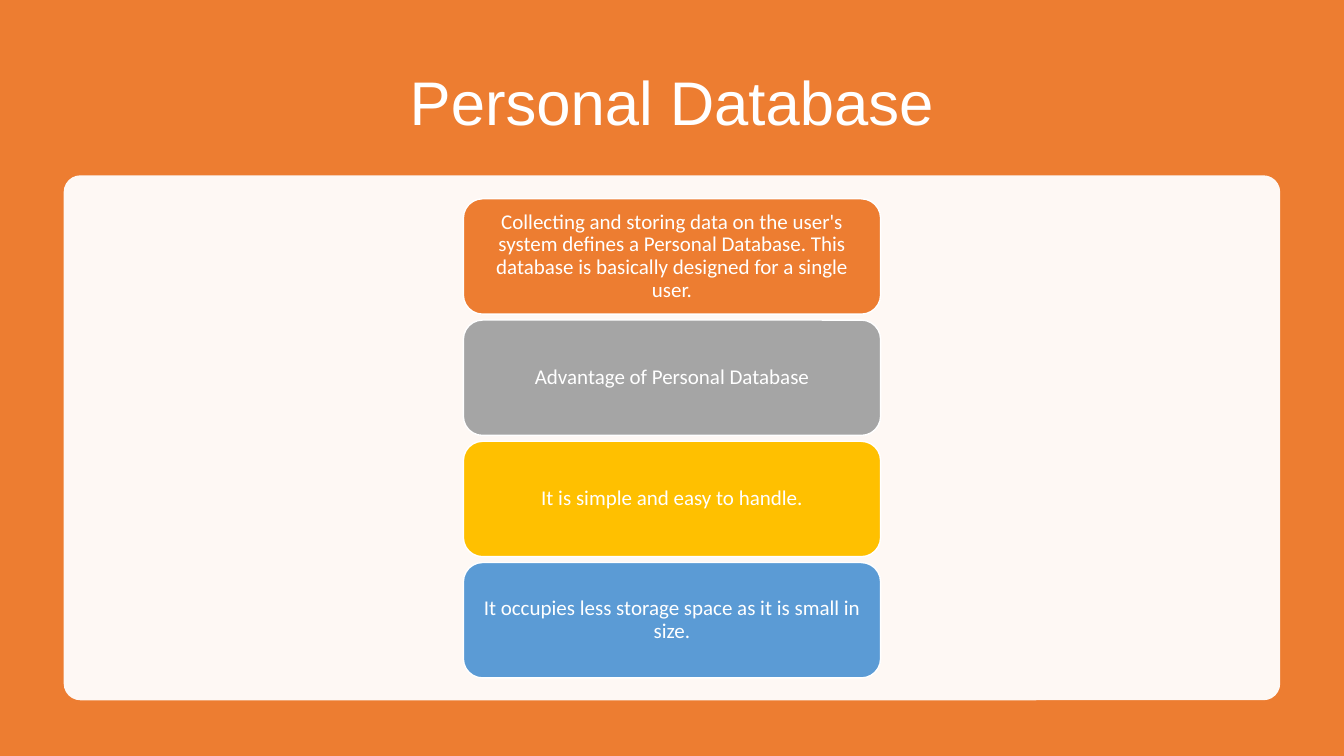
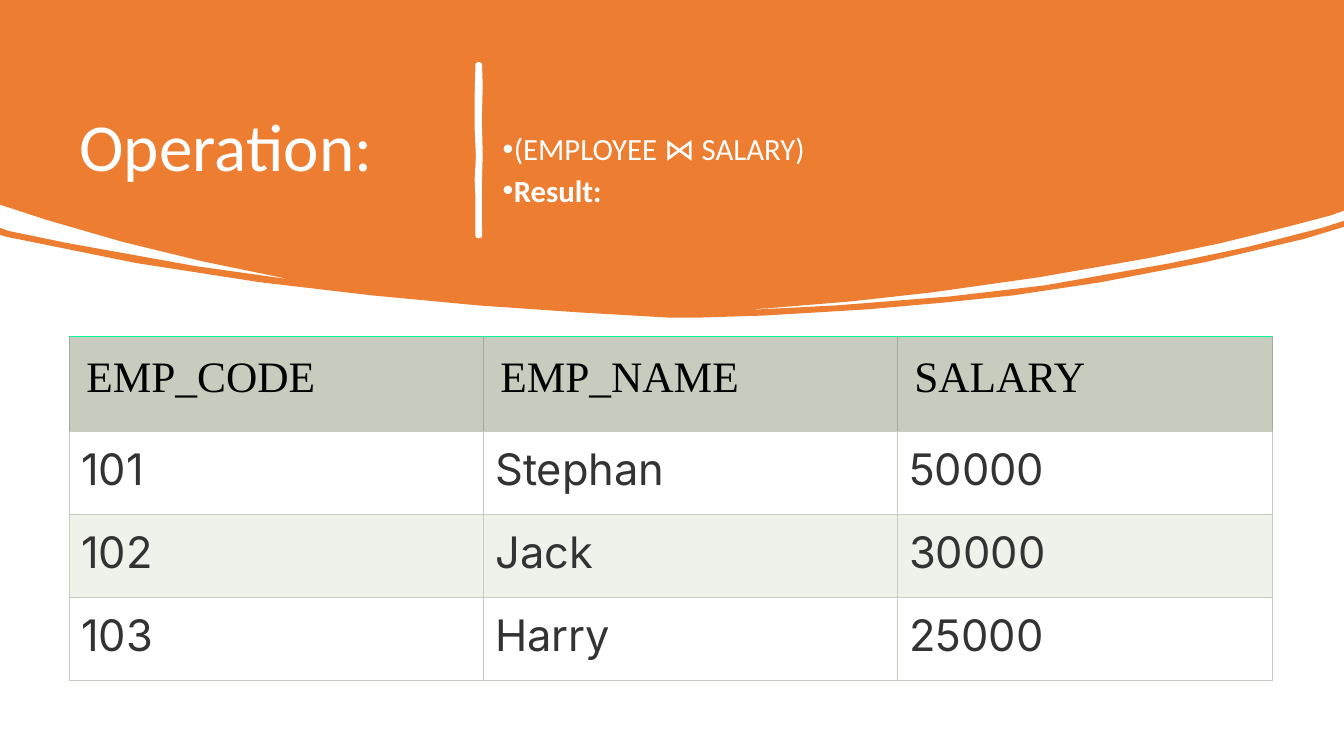
from dataclasses import dataclass

from lxml import etree
from pptx import Presentation
from pptx.dml.color import RGBColor
from pptx.enum.shapes import MSO_SHAPE as Shape
from pptx.enum.text import MSO_ANCHOR as Anchor, PP_ALIGN as Align
from pptx.oxml import parse_xml
from pptx.oxml.ns import nsdecls, qn
from pptx.util import Pt


# Theme
@dataclass(frozen=True)
class Theme:
    orange: str = "ED7D31"
    white: str = "FFFFFF"
    grey: str = "A5A5A5"
    gold: str = "FFC000"
    blue: str = "5B9BD5"
    black: str = "000000"
    ink: str = "333333"
    sage: str = "C7CCBE"
    sage_dark: str = "A5AA9C"
    sage_light: str = "EFF1EB"
    mint: str = "00FA93"
    sans: str = "Calibri"
    heading: str = "Arial"
    serif: str = "Times New Roman"
    data: str = "Inter"
    title_size: float = 44
    side_title_size: float = 48
    body_size: float = 22
    card_size: float = 15
    table_size: float = 31


THEME = Theme()
PAGE_W, PAGE_H = 960, 540

# Content
CARDS = [
    ("Collecting and storing data on the user's system defines a Personal Database. "
     "This database is basically designed for a single user.", THEME.orange),
    ("Advantage of Personal Database", THEME.grey),
    ("It is simple and easy to handle.", THEME.gold),
    ("It occupies less storage space as it is small in size.", THEME.blue),
]
BULLETS = [("(EMPLOYEE ⋈ SALARY)", False), ("Result:", True)]
SALARIES = [
    ("EMP_CODE", "EMP_NAME", "SALARY"),
    ("101", "Stephan", "50000"),
    ("102", "Jack", "30000"),
    ("103", "Harry", "25000"),
]
COLUMN_WIDTHS = [295.7, 295.7, 268.3]
ROW_HEIGHTS = [67.8, 59.2, 59.2, 59.2]

# Outlines, as corner points
BANNER = [
    (0, 0), (960, 0),
    # right edge of the main curve
    (960, 150.5), (950, 154), (919.5, 162), (870.5, 174), (820.8, 184.3),
    (742.3, 198), (666, 208.8), (607.7, 215.3), (547.2, 220.3), (535, 221),
    # right gap
    (542, 221), (596.9, 218.2), (679, 211.7), (746.6, 203.8), (836.6, 187.9),
    (891.2, 176.4), (944.6, 162.7), (960, 157.7),
    # lower edge
    (960, 162), (931.7, 170.6), (861, 187.2), (786.2, 201.6), (723.6, 211),
    (675.4, 216), (619.2, 221), (545.8, 225.4), (501.1, 226.8), (476.6, 226.8),
    (414.7, 223.2), (342, 218.2), (265.7, 211), (185.8, 201.6), (97.2, 187.9),
    (5, 169.2), (0, 167.8),
    # left gap
    (0, 162.7), (5.8, 164.9), (47.5, 173.5), (139.7, 190.1), (205.9, 199.4),
    (203, 198.7), (145.2, 186.8), (87.8, 172.8), (33.1, 157), (0, 146.2),
]
DIVIDER = [
    (342.7, 46.1), (343.2, 62), (342.5, 86), (343.2, 110), (342.6, 130),
    (342.7, 168.5), (341.3, 168.5), (341.2, 140), (340.7, 128), (341.6, 112),
    (340.6, 90), (340.7, 68), (341.3, 46.1),
]


# Helpers
def rgb(colour):
    return RGBColor.from_string(colour)


def paint(shape, fill, line=None, width=1):
    shape.shadow.inherit = False
    shape.fill.solid()
    shape.fill.fore_color.rgb = rgb(fill)
    if line:
        shape.line.color.rgb = rgb(line)
        shape.line.width = Pt(width)
    else:
        shape.line.fill.background()
    return shape


def add_block(page, kind, at, fill, line=None):
    return paint(page.shapes.add_shape(kind, *map(Pt, at)), fill, line)


def add_outline(page, points, fill, line=None, width=1):
    start, *rest = [(Pt(x), Pt(y)) for x, y in points]
    builder = page.shapes.build_freeform(*start)
    builder.add_line_segments(rest, close=True)
    return paint(builder.convert_to_shape(), fill, line, width)


def style(para, face, size, colour, align=Align.LEFT, bold=False):
    para.alignment = align
    font = para.font
    font.name, font.size, font.bold = face, Pt(size), bold
    font.color.rgb = rgb(colour)


def set_insets(holder, x, y):
    holder.margin_left = holder.margin_right = Pt(x)
    holder.margin_top = holder.margin_bottom = Pt(y)


def add_box(page, at):
    frame = page.shapes.add_textbox(*map(Pt, at)).text_frame
    frame.word_wrap = True
    frame.vertical_anchor = Anchor.MIDDLE
    return frame


def add_title(page, at, text, face, size, align):
    para = add_box(page, at).paragraphs[0]
    para.text = text
    para.line_spacing = 0.9
    style(para, face, size, THEME.white, align)


def add_bullet(para, hang):
    props = para._p.get_or_add_pPr()
    props.set("marL", str(Pt(hang)))
    props.set("indent", str(-Pt(hang)))
    props.append(parse_xml(f'<a:buFont {nsdecls("a")} typeface="Arial"/>'))
    props.append(parse_xml(f'<a:buChar {nsdecls("a")} char="•"/>'))


def set_border(cell, side, colour):
    props = cell._tc.get_or_add_tcPr()
    props.append(parse_xml(
        f'<a:ln{side} {nsdecls("a")} w="{Pt(0.6)}"><a:solidFill>'
        f'<a:srgbClr val="{colour}"/></a:solidFill></a:ln{side}>'))


# Slide 1: stacked cards on a panel
def build_personal(page):
    add_block(page, Shape.RECTANGLE, (0, 0, PAGE_W, PAGE_H), THEME.orange)
    add_title(page, (66, 36, 828, 79), "Personal Database",
              THEME.heading, THEME.title_size, Align.CENTER)

    panel = add_block(page, Shape.ROUNDED_RECTANGLE, (45.5, 125.2, 869, 375), THEME.white)
    panel.adjustments[0] = 0.032
    colour = panel.fill._xPr.find(qn("a:solidFill"))[0]
    etree.SubElement(colour, qn("a:alpha")).set("val", "95000")

    width, height, gap, top = 298, 82.4, 4.2, 142
    for index, (text, fill) in enumerate(CARDS):
        at = ((PAGE_W - width) / 2, top + index * (height + gap), width, height)
        card = add_block(page, Shape.ROUNDED_RECTANGLE, at, fill, THEME.white)
        frame = card.text_frame
        frame.word_wrap = True
        frame.vertical_anchor = Anchor.MIDDLE
        set_insets(frame, 4, 2)
        para = frame.paragraphs[0]
        para.text = text
        para.line_spacing = 0.9
        style(para, THEME.sans, THEME.card_size, THEME.white, Align.CENTER)


# Slide 2: curved banner over a table
def build_operation(page):
    add_outline(page, BANNER, THEME.orange)
    add_title(page, (49.7, 49.7, 283.7, 115), "Operation:",
              THEME.sans, THEME.side_title_size, Align.LEFT)
    add_outline(page, DIVIDER, THEME.white, THEME.white, 3.25)

    frame = add_box(page, (352, 64.8, 557.3, 115))
    for index, (text, bold) in enumerate(BULLETS):
        para = frame.add_paragraph() if index else frame.paragraphs[0]
        para.text = text
        add_bullet(para, 8)
        para.line_spacing = 0.9
        para.space_after = Pt(6)
        style(para, THEME.sans, THEME.body_size, THEME.white, bold=bold)

    at = (49.5, 240.3, sum(COLUMN_WIDTHS), sum(ROW_HEIGHTS))
    table = page.shapes.add_table(len(SALARIES), len(COLUMN_WIDTHS), *map(Pt, at)).table
    table.first_row = table.horz_banding = False
    for column, width in zip(table.columns, COLUMN_WIDTHS):
        column.width = Pt(width)
    for row, (values, height) in enumerate(zip(SALARIES, ROW_HEIGHTS)):
        table.rows[row].height = Pt(height)
        header = row == 0
        side = THEME.sage_dark if header else THEME.sage
        borders = {"L": side, "R": side, "T": THEME.mint if header else THEME.sage,
                   "B": THEME.sage}
        fill = THEME.sage if header else THEME.white if row % 2 else THEME.sage_light
        face, ink = (THEME.serif, THEME.black) if header else (THEME.data, THEME.ink)
        inset = 12.2 if header else 8.6
        for column, value in enumerate(values):
            cell = table.cell(row, column)
            set_insets(cell, inset, inset)
            for edge, colour in borders.items():
                set_border(cell, edge, colour)
            cell.fill.solid()
            cell.fill.fore_color.rgb = rgb(fill)
            para = cell.text_frame.paragraphs[0]
            para.text = value
            style(para, face, THEME.table_size, ink,
                  Align.LEFT if header else Align.JUSTIFY)


def main():
    deck = Presentation()
    deck.slide_width, deck.slide_height = Pt(PAGE_W), Pt(PAGE_H)
    for build in (build_personal, build_operation):
        build(deck.slides.add_slide(deck.slide_layouts[6]))
    deck.save("out.pptx")


if __name__ == "__main__":
    main()
